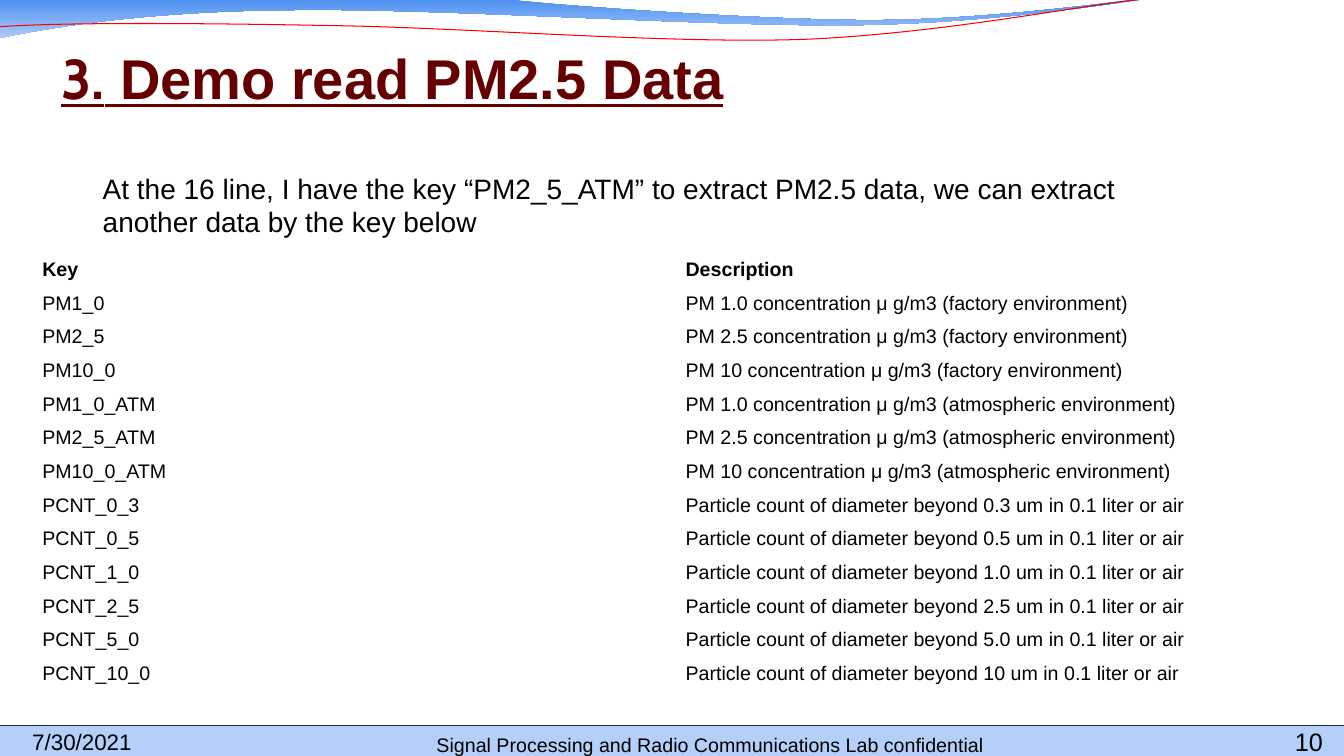
from lxml import etree
from pptx import Presentation
from pptx import util as u
from pptx.dml.color import RGBColor
from pptx.enum import shapes, text
from pptx.oxml.ns import qn

COLORS = {"text": "000000", "title": "660000", "cell": "FFFFFF", "band": "B4D0F9",
          "band_edge": "242852", "wave_top": "498DF1", "wave_bottom": "ACCBF9",
          "wave_line": "FF0000"}

TITLE = [("3.", "Cabin"), (" Demo read PM2.5 Data", "Arial")]
INTRO = ("At the 16 line, I have the key “PM2_5_ATM” to extract PM2.5 data, "
         "we can extract another data by the key below ")
HEADER = ("Key", "Description")
SIZES = (("PM1_0", "1.0"), ("PM2_5", "2.5"), ("PM10_0", "10"))
ENVIRONMENTS = (("", "factory"), ("_ATM", "atmospheric"))
DIAMETERS = ("0.3", "0.5", "1.0", "2.5", "5.0", "10")

# Footer: wording, box, alignment, size
FOOTER = [
    ("7/30/2021", (0.32, 7.29, 2.86, 0.2), text.PP_ALIGN.LEFT, 16),
    ("Signal Processing and Radio Communications Lab confidential",
     (4.23, 7.21, 5.63, 0.29), text.PP_ALIGN.CENTER, 14),
    ("10", (12.0, 7.31, 1.12, 0.2), text.PP_ALIGN.RIGHT, 18),
]

# Each wave: start point, then segments of one point (line) or three (Bezier curve)
WAVE_FILL = [(-0.01, -0.01), [(5.01, -0.01)],
             [(5.41, 0.05), (7.57, 0.2), (8.63, 0.2)],
             [(9.69, 0.2), (10.91, 0.04), (11.38, -0.02)],
             [(11.38, 0.01), (11.38, -0.05), (11.38, -0.01)],
             [(11.18, 0.01), (9.9, 0.23), (8.49, 0.25)],
             [(7.08, 0.27), (4.34, 0.08), (2.92, 0.1)],
             [(1.46, 0.11), (0.52, 0.27), (-0.02, 0.38)],
             [(-0.01, 0.25), (-0.01, 0.12), (-0.01, -0.01)]]
WAVE_LINE = [(-0.01, 0),
             [(0.53, -0.02), (1.9, 0.05), (3.25, 0.14)],
             [(4.6, 0.22), (6.74, 0.5), (8.09, 0.5)],
             [(9.44, 0.49), (10.65, 0.3), (11.33, 0.26)]]
WAVE_LINE_ANGLE = 357.3


def rgb(name):
    """Return the named colour."""
    return RGBColor.from_string(COLORS[name])


def add_wave(slide, wave, close):
    """Draw a wave of lines and Bezier curves and return it."""
    start, *segments = wave
    builder = slide.shapes.build_freeform(*map(u.Inches, start))
    builder.add_line_segments([tuple(map(u.Inches, s[-1])) for s in segments], close=close)
    shape = builder.convert_to_shape()
    shape.shadow.inherit = False
    for line, segment in zip(list(shape.element.iter(qn("a:lnTo"))), segments):
        if len(segment) == 3:
            curve = etree.Element(qn("a:cubicBezTo"))
            for x, y in segment:
                etree.SubElement(curve, qn("a:pt"), x=str(u.Inches(x) - shape.left),
                                 y=str(u.Inches(y) - shape.top))
            line.getparent().replace(line, curve)
    return shape


def style(paragraph, size, color="text", bold=False, face="Arial"):
    """Set the font of a whole paragraph."""
    font = paragraph.font
    font.size, font.bold, font.name = u.Pt(size), bold, face
    font.color.rgb = rgb(color)


def add_text(slide, box, anchor, insets=(0, 0, 0, 0)):
    """Add a wrapping text box and return its first paragraph."""
    frame = slide.shapes.add_textbox(*map(u.Inches, box)).text_frame
    frame.word_wrap = True
    frame.vertical_anchor = anchor
    (frame.margin_left, frame.margin_top,
     frame.margin_right, frame.margin_bottom) = map(u.Inches, insets)
    return frame.paragraphs[0]


def add_background(slide):
    """Draw the waves at the top and the footer band."""
    wave = add_wave(slide, WAVE_FILL, close=True)
    wave.line.fill.background()
    wave.fill.gradient()
    wave.fill.gradient_angle = 270
    for stop, name in zip(wave.fill.gradient_stops, ("wave_top", "wave_bottom")):
        stop.color.rgb = rgb(name)

    curve = add_wave(slide, WAVE_LINE, close=False)
    curve.rotation = WAVE_LINE_ANGLE
    curve.fill.background()
    curve.line.color.rgb = rgb("wave_line")
    curve.line.width = u.Pt(0.75)

    left, top, right = u.Inches(0), u.Inches(7.2), u.Inches(13.33)
    band = slide.shapes.add_shape(shapes.MSO_SHAPE.RECTANGLE, left, top, right, u.Inches(0.31))
    band.shadow.inherit = False
    band.fill.solid()
    band.fill.fore_color.rgb = rgb("band")
    band.line.fill.background()
    edge = slide.shapes.add_connector(shapes.MSO_CONNECTOR.STRAIGHT, left, top, right, top)
    edge.line.color.rgb = rgb("band_edge")
    edge.line.width = u.Pt(1)
    etree.SubElement(edge.element.spPr, qn("a:effectLst"))


def key_rows():
    """List the table rows: header, concentrations, particle counts."""
    rows = [HEADER]
    rows += [(key + suffix, f"PM {size} concentration μ g/m3 ({place} environment)")
             for suffix, place in ENVIRONMENTS for key, size in SIZES]
    for diameter in DIAMETERS:
        key = "10_0" if diameter == "10" else diameter.replace(".", "_")
        rows.append((f"PCNT_{key}",
                     f"Particle count of diameter beyond {diameter} um in 0.1 liter or air"))
    return rows


def add_key_table(slide):
    """Add the table of keys and their descriptions."""
    rows = key_rows()
    table = slide.shapes.add_table(len(rows), len(HEADER), u.Inches(0.31), u.Inches(2.51),
                                   u.Inches(12.76), u.Inches(4.32)).table
    table.first_row = table.horz_banding = False
    for r, row in enumerate(rows):
        for c, wording in enumerate(row):
            cell = table.cell(r, c)
            cell.fill.solid()
            cell.fill.fore_color.rgb = rgb("cell")
            cell.vertical_anchor = text.MSO_ANCHOR.MIDDLE
            cell.margin_left = cell.margin_right = u.Inches(0.11)
            cell.margin_top = cell.margin_bottom = u.Inches(0.05)
            cell.text = wording
            style(cell.text_frame.paragraphs[0], 14, bold=r == 0)


prs = Presentation()
prs.slide_width, prs.slide_height = u.Inches(13.33), u.Inches(7.5)
slide = prs.slides.add_slide(prs.slide_layouts[6])
add_background(slide)

title = add_text(slide, (0.61, 0.41, 9.81, 0.69), text.MSO_ANCHOR.BOTTOM, (0, 0.05, 0, 0))
for wording, face in TITLE:
    run = title.add_run()
    run.text, run.font.name = wording, face
style(title, 40, "title", bold=True)
title.font.underline = True

for wording, box, align, size in FOOTER:
    note = add_text(slide, box, text.MSO_ANCHOR.BOTTOM)
    note.text, note.alignment = wording, align
    style(note, size)

add_key_table(slide)

intro = add_text(slide, (0.92, 1.65, 11.08, 0.77), text.MSO_ANCHOR.TOP, (0.1, 0.05, 0.1, 0.05))
intro.text = INTRO
style(intro, 20)

prs.save("out.pptx")
